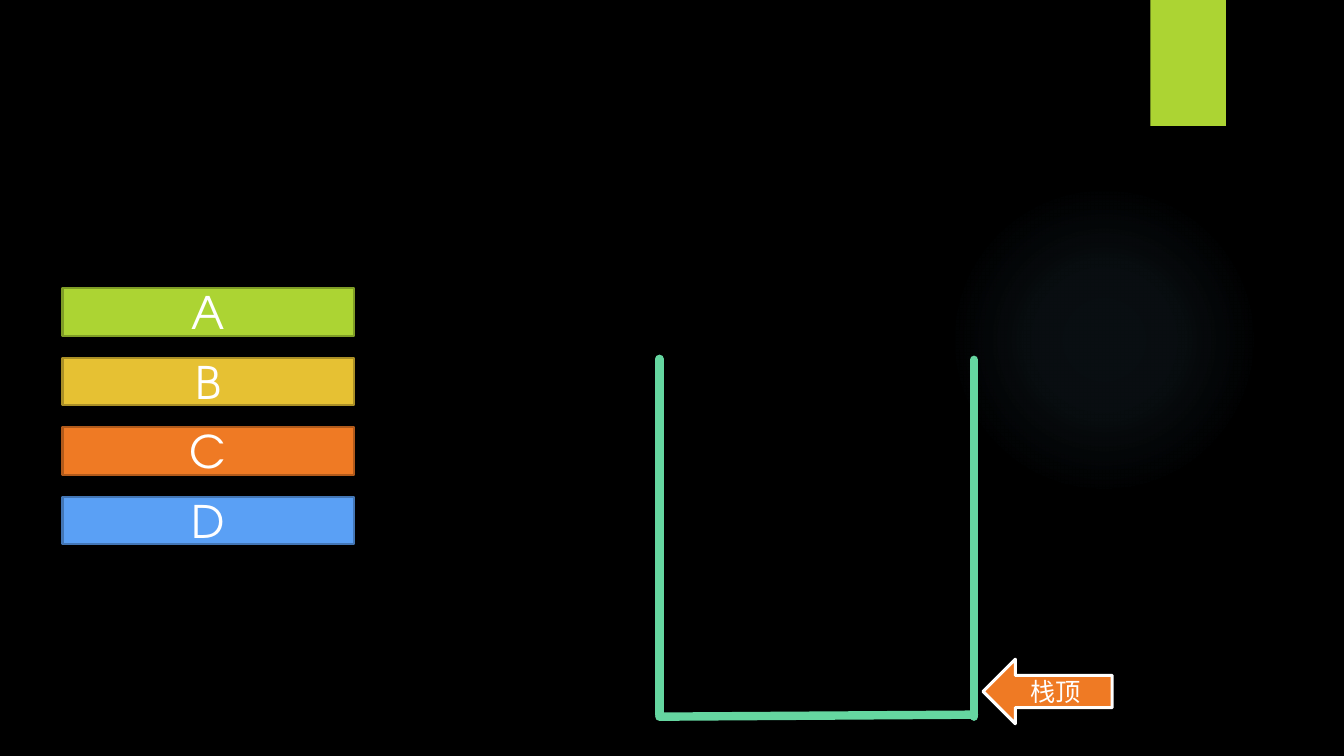
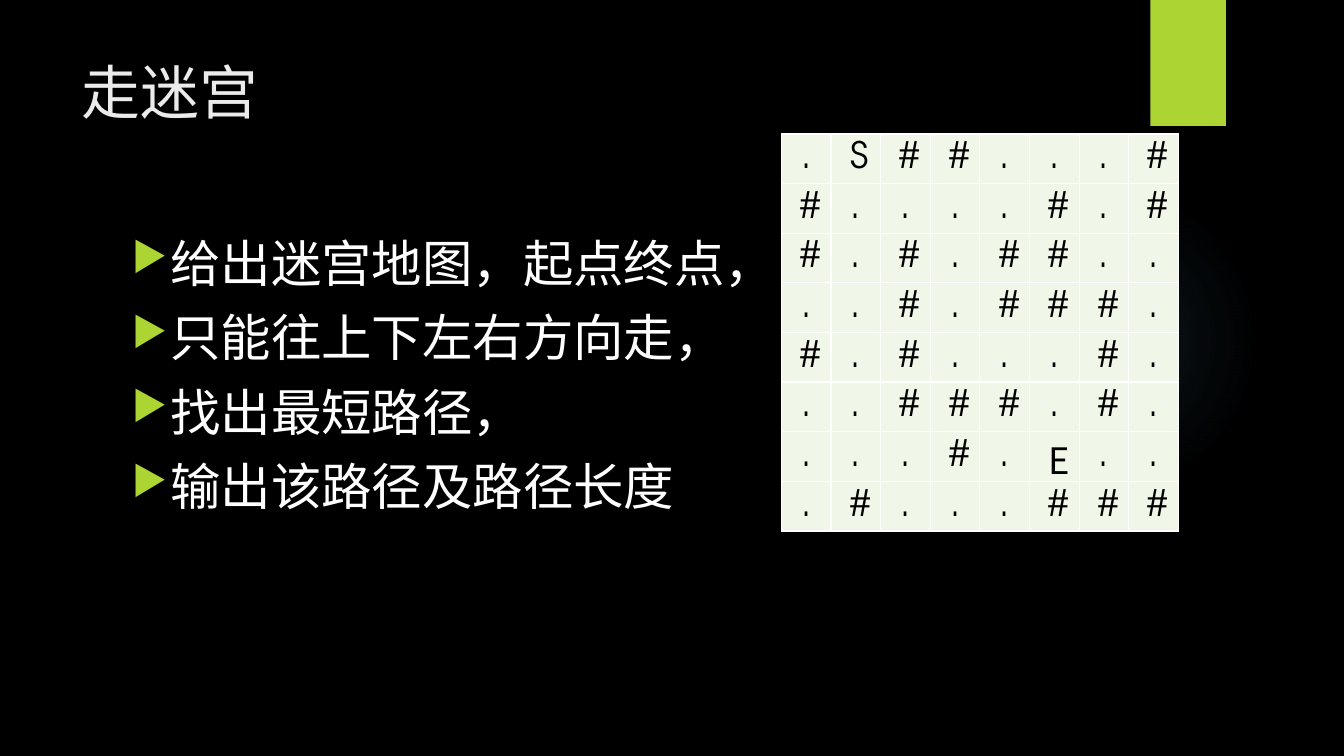
from dataclasses import dataclass

from lxml import etree
from pptx import Presentation
from pptx import util as u
from pptx.dml.color import RGBColor
from pptx.enum import shapes, text
from pptx.oxml import ns, parse_xml


@dataclass(frozen=True)
class Theme:
    background: str = "000000"
    white: str = "FFFFFF"
    title: str = "EBEBEB"
    lime: str = "ACD433"
    orange: str = "EF7A24"
    glow: str = "7AC4F0"
    container: str = "65D6A0"
    cell: str = "F1F7E8"
    cell_text: str = "000000"
    font: str = "TeX Gyre Adventor"
    end_font: str = "Noto Sans CJK SC"
    title_size: int = 42
    body_size: int = 36
    item_size: int = 32
    cell_size: int = 26
    label_size: int = 18


@dataclass(frozen=True)
class Box:
    left: float
    top: float
    width: float
    height: float

    def lengths(self) -> list:
        return [u.Inches(v) for v in (self.left, self.top, self.width, self.height)]


@dataclass(frozen=True)
class StackItem:
    label: str
    fill: str
    outline: str


@dataclass(frozen=True)
class Wall:
    start: tuple[float, float]
    end: tuple[float, float]


THEME = Theme()
STACK_ITEMS = [
    StackItem("A", THEME.lime, "7F9D26"),
    StackItem("B", "E6C133", "AA8F26"),
    StackItem("C", THEME.orange, "B15A1B"),
    StackItem("D", "5AA0F5", "4376B5"),
]
ITEM_STEP = 0.69
WALLS = [
    Wall((6.54, 3.56), (6.54, 7.09)),
    Wall((9.66, 3.57), (9.66, 7.11)),
    Wall((6.54, 7.11), (9.66, 7.09)),
]
RULES = [
    "给出迷宫地图，起点终点，",
    "只能往上下左右方向走，",
    "找出最短路径，",
    "输出该路径及路径长度",
]
MAZE = [
    ".S##...#",
    "#....#.#",
    "#.#.##..",
    "..#.###.",
    "#.#...#.",
    "..###.#.",
    "...#.E..",
    ".#...###",
]


def set_attributes(target, values: dict) -> None:
    for name, value in values.items():
        setattr(target, name, value)


def add_child(parent, tag: str, **attributes: str):
    return etree.SubElement(parent, ns.qn(tag), attributes)


def fill_solid(target, colour: str) -> None:
    target.fill.solid()
    target.fill.fore_color.rgb = RGBColor.from_string(colour)


def write(paragraph, content: str, size: int, colour: str, font: str = THEME.font) -> None:
    """Add one run, using the same typeface for Latin and East Asian text."""
    run = paragraph.add_run()
    run.text = content
    set_attributes(run.font, {"name": font, "size": u.Pt(size)})
    run.font.color.rgb = RGBColor.from_string(colour)
    add_child(run._r.get_or_add_rPr(), "a:ea", typeface=font)


def add_box(slide, kind, box: Box, fill: str, outline: str = "", width: float = 1.5):
    shape = slide.shapes.add_shape(kind, *box.lengths())
    shape.shadow.inherit = False
    fill_solid(shape, fill)
    if outline:
        fill_solid(shape.line, outline)
        shape.line.width = u.Pt(width)
    else:
        shape.line.fill.background()
    return shape


def label_box(shape, content: str, size: int) -> None:
    shape.text_frame.vertical_anchor = text.MSO_ANCHOR.MIDDLE
    paragraph = shape.text_frame.paragraphs[0]
    paragraph.alignment = text.PP_ALIGN.CENTER
    write(paragraph, content, size, THEME.white)


def add_glow(slide) -> None:
    """Draw a faint round light that fades out towards its edge."""
    ellipse = add_box(slide, shapes.MSO_SHAPE.OVAL, Box(9.41, 1.83, 3.08, 3.08), THEME.glow)
    stops = "".join(
        f'<a:gs pos="{position}000"><a:srgbClr val="{THEME.glow}">'
        f'<a:alpha val="{alpha}000"/></a:srgbClr></a:gs>'
        for position, alpha in ((0, 7), (36, 6), (69, 0), (100, 0))
    )
    gradient = parse_xml(
        f'<a:gradFill {ns.nsdecls("a")} rotWithShape="1"><a:gsLst>{stops}</a:gsLst>'
        '<a:path path="circle"><a:fillToRect l="50000" t="50000" r="50000" b="50000"/>'
        "</a:path></a:gradFill>"
    )
    properties = ellipse._element.spPr
    properties.replace(properties.find(ns.qn("a:solidFill")), gradient)


def add_slide(presentation, layout_index: int):
    slide = presentation.slides.add_slide(presentation.slide_layouts[layout_index])
    add_glow(slide)
    add_box(slide, shapes.MSO_SHAPE.RECTANGLE, Box(11.41, 0, 0.75, 1.25), THEME.lime)
    return slide


def add_wall(group, wall: Wall) -> None:
    points = [u.Inches(value) for value in (*wall.start, *wall.end)]
    connector = group.shapes.add_connector(shapes.MSO_CONNECTOR.STRAIGHT, *points)
    fill_solid(connector.line, THEME.container)
    connector.line.width = u.Pt(6)
    properties = connector._element.spPr
    properties.find(ns.qn("a:ln")).set("cap", "rnd")
    add_child(properties, "a:effectLst")


def build_stack_slide(presentation) -> None:
    slide = add_slide(presentation, 6)
    container = slide.shapes.add_group_shape()
    for wall in WALLS:
        add_wall(container, wall)
    for index, item in enumerate(STACK_ITEMS):
        box = Box(0.62, 2.86 + index * ITEM_STEP, 2.89, 0.47)
        shape = add_box(slide, shapes.MSO_SHAPE.RECTANGLE, box, item.fill, item.outline)
        label_box(shape, item.label, THEME.item_size)
    top_arrow = add_box(slide, shapes.MSO_SHAPE.LEFT_ARROW, Box(9.75, 6.54, 1.28, 0.64),
                        THEME.orange, THEME.white, 2.25)
    label_box(top_arrow, "栈顶", THEME.label_size)


def set_title(slide, content: str) -> None:
    title = slide.shapes.title
    geometry = zip(("left", "top", "width", "height"), Box(0.71, 0.5, 10.29, 1.53).lengths())
    set_attributes(title, dict(geometry))
    set_attributes(title.text_frame, {
        "word_wrap": True,
        "auto_size": text.MSO_AUTO_SIZE.NONE,
        "vertical_anchor": text.MSO_ANCHOR.TOP,
    })
    paragraph = title.text_frame.paragraphs[0]
    paragraph.alignment = text.PP_ALIGN.LEFT
    write(paragraph, content, THEME.title_size, THEME.title)


def add_bullet(paragraph) -> None:
    paragraph.space_before = u.Pt(10)
    properties = paragraph._p.get_or_add_pPr()
    indent = u.Inches(0.38)
    properties.set("marL", str(indent))
    properties.set("indent", str(-indent))
    add_child(add_child(properties, "a:buClr"), "a:srgbClr", val=THEME.lime)
    add_child(properties, "a:buSzPct", val="80000")
    add_child(properties, "a:buChar", char="▶")


def add_rules(slide) -> None:
    frame = slide.shapes.add_textbox(*Box(1.21, 2.25, 9.78, 4.59).lengths()).text_frame
    frame.word_wrap = True
    for index, rule in enumerate(RULES):
        paragraph = frame.add_paragraph() if index else frame.paragraphs[0]
        add_bullet(paragraph)
        write(paragraph, rule, THEME.body_size, THEME.white)


def format_cell(cell, symbol: str) -> None:
    set_attributes(cell, {
        "vertical_anchor": text.MSO_ANCHOR.MIDDLE,
        "margin_left": u.Inches(0.19),
        "margin_right": u.Inches(0.19),
        "margin_top": 0,
        "margin_bottom": 0,
    })
    properties = cell._tc.get_or_add_tcPr()
    for side in "LRTB":
        border = add_child(properties, f"a:ln{side}", w=str(u.Pt(1)))
        add_child(add_child(border, "a:solidFill"), "a:srgbClr", val=THEME.white)
    fill_solid(cell, THEME.cell)
    paragraph = cell.text_frame.paragraphs[0]
    paragraph.alignment = text.PP_ALIGN.CENTER
    font = THEME.end_font if symbol == "E" else THEME.font
    write(paragraph, symbol, THEME.cell_size, THEME.cell_text, font)


def add_maze(slide) -> None:
    size = len(MAZE)
    frame = slide.shapes.add_table(size, size, *Box(7.75, 1.33, 3.94, 3.94).lengths())
    table = frame.table
    set_attributes(table, {"first_row": False, "horz_banding": False})
    for row, symbols in enumerate(MAZE):
        for column, symbol in enumerate(symbols):
            format_cell(table.cell(row, column), symbol)


def build_maze_slide(presentation) -> None:
    slide = add_slide(presentation, 5)
    set_title(slide, "走迷宫")
    add_rules(slide)
    add_maze(slide)


def main() -> None:
    presentation = Presentation()
    set_attributes(presentation, {
        "slide_width": u.Inches(13.33),
        "slide_height": u.Inches(7.5),
    })
    fill_solid(presentation.slide_master.background, THEME.background)
    build_stack_slide(presentation)
    build_maze_slide(presentation)
    presentation.save("out.pptx")


if __name__ == "__main__":
    main()
